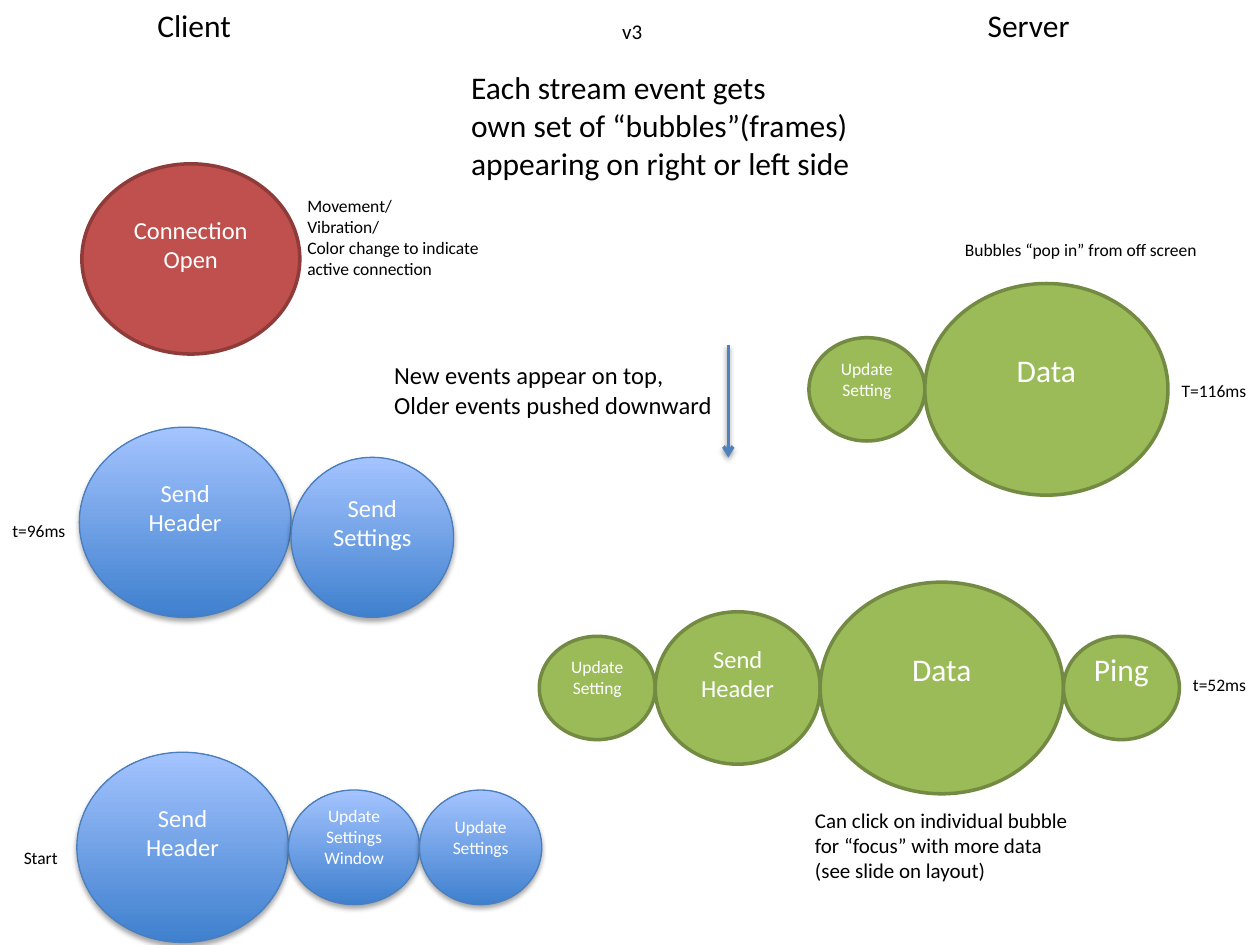
from dataclasses import dataclass

from lxml.etree import SubElement
from pptx import Presentation
from pptx.dml.color import RGBColor as Rgb
from pptx.enum.shapes import MSO_CONNECTOR as Connector, MSO_SHAPE as Shape
from pptx.enum.text import MSO_ANCHOR as Anchor, MSO_AUTO_SIZE as AutoSize, PP_ALIGN as Align
from pptx.oxml.ns import qn
from pptx.util import Inches, Pt


@dataclass(frozen=True)
class BubbleStyle:
    fills: tuple  # one colour, or bottom and top of a gradient
    line: str
    line_width: float
    shadow: bool = False


@dataclass(frozen=True)
class Theme:
    font: str = "Calibri"
    text: str = "000000"
    bubble_text: str = "FFFFFF"
    arrow: str = "4F81BD"
    title: int = 18
    body: int = 14
    note: int = 12
    small: int = 10
    client: BubbleStyle = BubbleStyle(("3F80CE", "A4C4FF"), "4B7EBC", 0.75, True)
    server: BubbleStyle = BubbleStyle(("9BBB59",), "738A42", 2)
    connection: BubbleStyle = BubbleStyle(("C0504D",), "8E3B39", 2)


THEME = Theme()
LINE_HEIGHT = 1.22


def write_lines(frame, lines, size, color, align=Align.LEFT):
    for index, line in enumerate(lines):
        para = frame.paragraphs[0] if index == 0 else frame.add_paragraph()
        para.text = line
        para.alignment = align
        para.font.name = THEME.font
        para.font.size = Pt(size)
        para.font.color.rgb = Rgb.from_string(color)


def add_label(page, left, top, width, height, size, *lines):
    box = page.shapes.add_textbox(Inches(left), Inches(top), Inches(width), Inches(height))
    frame = box.text_frame
    frame.word_wrap = False
    frame.auto_size = AutoSize.SHAPE_TO_FIT_TEXT
    write_lines(frame, lines, size, THEME.text)


def add_shadow(properties, distance, opacity):
    """Put a soft shadow below a shape or connector."""
    effects = properties.find(qn("a:effectLst"))
    if effects is None:
        effects = SubElement(properties, qn("a:effectLst"))
    shadow = SubElement(effects, qn("a:outerShdw"), blurRad=str(Pt(3.1)),
                        dist=str(Pt(distance)), dir="5400000", rotWithShape="0")
    color = SubElement(shadow, qn("a:srgbClr"), val="000000")
    SubElement(color, qn("a:alpha"), val=str(opacity * 1000))


def add_bubble(page, left, middle, width, height, style, size, *lines):
    """Add an ellipse whose text sits half a line above its middle."""
    bubble = page.shapes.add_shape(Shape.OVAL, Inches(left), Inches(middle - height / 2),
                                   Inches(width), Inches(height))
    bubble.shadow.inherit = False
    if len(style.fills) == 1:
        bubble.fill.solid()
        bubble.fill.fore_color.rgb = Rgb.from_string(style.fills[0])
    else:
        bubble.fill.gradient()
        bubble.fill.gradient_angle = 90
        for stop, color in zip(bubble.fill.gradient_stops, style.fills):
            stop.color.rgb = Rgb.from_string(color)
    bubble.line.color.rgb = Rgb.from_string(style.line)
    bubble.line.width = Pt(style.line_width)
    if style.shadow:
        add_shadow(bubble.element.spPr, 1.8, 35)
    frame = bubble.text_frame
    frame.word_wrap = True
    frame.vertical_anchor = Anchor.MIDDLE
    frame.margin_bottom = Inches(0.05) + Pt(size * LINE_HEIGHT)
    write_lines(frame, lines, size, THEME.bubble_text, Align.CENTER)


def add_chain(page, left, middle, style, bubbles):
    """Add touching bubbles from left to right."""
    for width, height, size, *lines in bubbles:
        add_bubble(page, left, middle, width, height, style, size, *lines)
        left += width


def add_down_arrow(page, x, top, bottom):
    arrow = page.shapes.add_connector(Connector.STRAIGHT, Inches(x), Inches(top),
                                      Inches(x), Inches(bottom))
    arrow.line.color.rgb = Rgb.from_string(THEME.arrow)
    arrow.line.width = Pt(2)
    properties = arrow.element.spPr
    SubElement(properties.find(qn("a:ln")), qn("a:tailEnd"), type="arrow")
    add_shadow(properties, 1.6, 38)


def add_bubbles(page):
    send_header = (1.68, 1.51, THEME.body, "Send", "Header")
    update_setting = (0.92, 0.82, THEME.small, "Update Setting")
    data = (1.93, 1.68, THEME.title, "Data")

    add_chain(page, 0.61, 6.725, THEME.client, [
        send_header,
        (1.04, 0.91, THEME.small, "Update", "Settings\vWindow"),
        (0.97, 0.91, THEME.small, "Update", "Settings"),
    ])
    add_chain(page, 4.28, 5.46, THEME.server, [
        update_setting,
        (1.31, 1.21, THEME.body, "Send", "Header"),
        data,
        (0.92, 0.82, THEME.title, "Ping"),
    ])
    add_chain(page, 0.63, 4.145, THEME.client, [send_header])
    add_chain(page, 2.31, 4.265, THEME.client,
              [(1.29, 1.27, THEME.body, "Send", "Settings")])
    add_chain(page, 6.42, 3.09, THEME.server, [update_setting, data])
    add_chain(page, 0.65, 2.055, THEME.connection,
              [(1.73, 1.51, THEME.body, "Connection", "Open")])


def add_labels(page):
    add_label(page, 1.15, 0, 0.8, 0.4, THEME.title, "Client")
    add_label(page, 7.74, 0, 0.86, 0.4, THEME.title, "Server")
    add_label(page, 4.84, 0.1, 0.36, 0.3, THEME.note, "v3")
    add_label(page, 3.64, 0.49, 3.27, 1.01, THEME.title, "Each stream event gets",
              "own set of “bubbles”(frames)", "appearing on right or left side")
    add_label(page, 2.34, 1.5, 1.59, 0.94, THEME.small, "Movement/", "Vibration/",
              "Color change to indicate", "active connection")
    add_label(page, 7.56, 1.85, 2.07, 0.27, THEME.small, "Bubbles “pop in” from off screen")
    add_label(page, 3.03, 2.81, 2.75, 0.57, THEME.body,
              "New events appear on top,", "Older events pushed downward")
    add_label(page, 6.37, 6.36, 2.23, 0.71, THEME.note,
              "Can click on individual bubble\vfor “focus” with more data",
              "(see slide on layout)")
    add_label(page, 0.09, 6.67, 0.48, 0.27, THEME.small, "Start")
    add_label(page, 9.37, 5.3, 0.63, 0.44, THEME.small, "t=52ms")
    add_label(page, 0, 4.08, 0.63, 0.27, THEME.small, "t=96ms")
    add_label(page, 9.28, 2.97, 0.72, 0.27, THEME.small, "T=116ms")


def main():
    deck = Presentation()
    deck.slide_width = Inches(10)
    deck.slide_height = Inches(7.5)
    page = deck.slides.add_slide(deck.slide_layouts[6])
    add_bubbles(page)
    add_down_arrow(page, 5.78, 2.74, 3.63)
    add_labels(page)
    deck.save("out.pptx")


if __name__ == "__main__":
    main()
